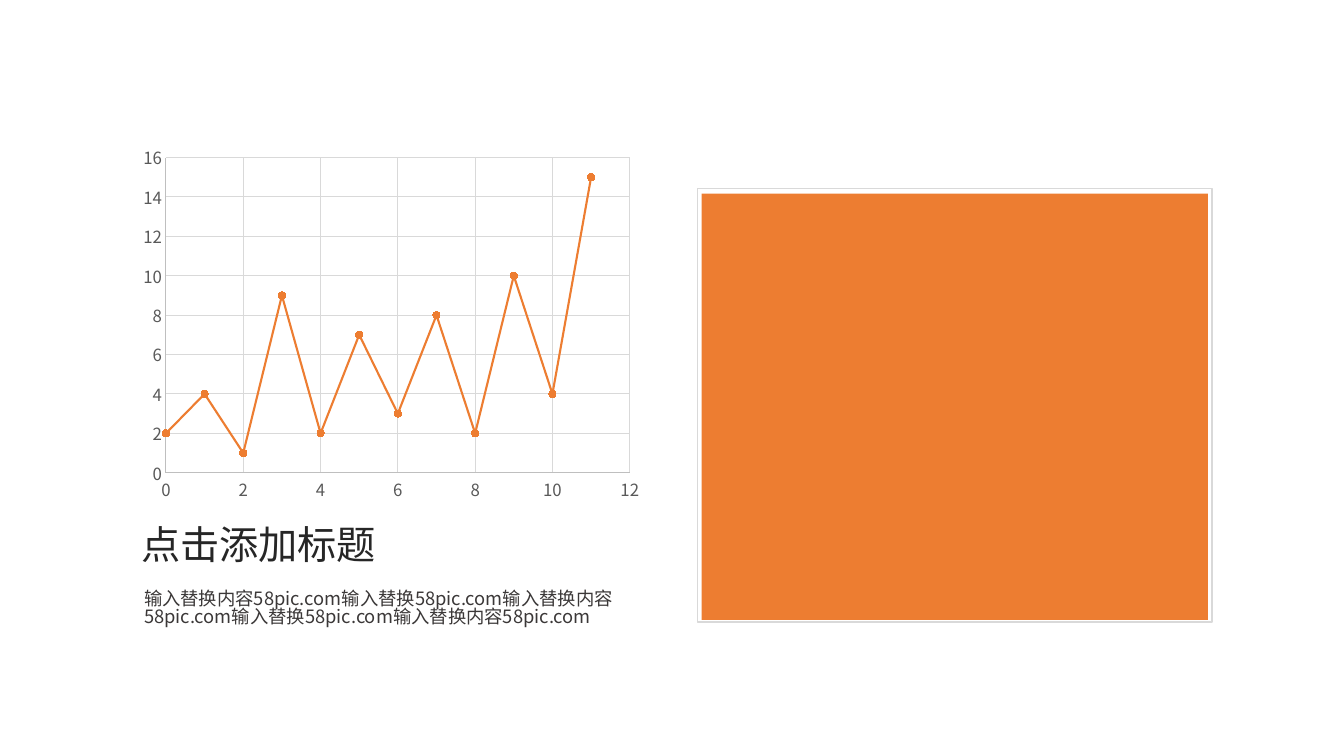
from lxml import etree
from pptx import Presentation
from pptx.chart.data import XyChartData
from pptx.dml.color import RGBColor
from pptx.enum import chart as charts, shapes, text
from pptx.oxml import parse_xml
from pptx.oxml.ns import nsdecls, qn
from pptx.util import Inches, Pt

# Content
TITLE = "点击添加标题"
BODY = "输入替换内容58pic.com输入替换58pic.com输入替换内容58pic.com输入替换58pic.com输入替换内容58pic.com"
VALUES = [2, 4, 1, 9, 2, 7, 3, 8, 2, 10, 4, 15]
FONT = "Noto Sans CJK SC"
COLORS = {"accent": "ED7D31", "title": "262626", "body": "3B3838",
          "label": "595959", "axis": "BFBFBF", "grid": "D9D9D9"}

# Positions: left, top, width, height
CHART_BOX = (1.23, 1.41, 5.27, 3.75)
TITLE_BOX = (1.3, 5.19, 5.35, 0.57)
BODY_BOX = (1.33, 5.81, 5.29, 0.54)
FRAME_BOX = (6.92, 1.87, 5.1, 4.3)
PANEL_BOX = (6.96, 1.92, 5.02, 4.23)
PLOT_AREA = {"x": 0.079, "y": 0.041, "w": 0.873, "h": 0.834}


def color(name):
    return RGBColor.from_string(COLORS[name])


def place(box):
    return [Inches(length) for length in box]


def paint_fill(fill, name):
    fill.solid()
    fill.fore_color.rgb = color(name)


def paint_line(line, name, width):
    paint_fill(line.fill, name)
    line.width = Pt(width)


def write(shape, words, size, name):
    frame = shape.text_frame
    frame.word_wrap = True
    frame.auto_size = text.MSO_AUTO_SIZE.NONE
    frame.vertical_anchor = text.MSO_ANCHOR.TOP
    para = frame.paragraphs[0]
    para.alignment = text.PP_ALIGN.LEFT
    para.line_spacing = 0.83
    span = para.add_run()
    span.text = words
    span.font.size = Pt(size)
    span.font.name = FONT
    span.font.color.rgb = color(name)
    east_asian = etree.SubElement(span.font._element, qn("a:ea"))
    east_asian.set("typeface", FONT)


def add_rectangle(page, box):
    rectangle = page.shapes.add_shape(shapes.MSO_SHAPE.RECTANGLE, *place(box))
    rectangle.shadow.inherit = False
    return rectangle


def format_axis(axis, maximum):
    axis.minimum_scale = 0
    axis.maximum_scale = maximum
    axis.major_unit = 2
    axis.major_tick_mark = charts.XL_TICK_MARK.NONE
    axis.minor_tick_mark = charts.XL_TICK_MARK.NONE
    axis.has_major_gridlines = True
    paint_line(axis.format.line, "axis", 0.75)
    paint_line(axis.major_gridlines.format.line, "grid", 0.75)
    font = axis.tick_labels.font
    font.size = Pt(12)
    font.name = FONT
    font.color.rgb = color("label")


def add_curve(page):
    points = XyChartData()
    data = points.add_series("Series 1")
    for x, y in enumerate(VALUES):
        data.add_data_point(x, y)
    chart = page.shapes.add_chart(
        charts.XL_CHART_TYPE.XY_SCATTER_SMOOTH, *place(CHART_BOX), points).chart
    chart.has_legend = False
    chart.has_title = False
    chart.font.size = Pt(10)
    chart.font.name = FONT
    chart.plots[0].vary_by_categories = False
    format_axis(chart.category_axis, 12)
    format_axis(chart.value_axis, 16)

    # Curve and markers
    curve = chart.plots[0].series[0]
    curve.smooth = True
    paint_line(curve.format.line, "accent", 1.5)
    curve.marker.style = charts.XL_MARKER_STYLE.CIRCLE
    curve.marker.size = 5
    paint_fill(curve.marker.format.fill, "accent")
    paint_line(curve.marker.format.line, "accent", 0.75)

    # Fixed inner plot area
    parts = '<c:layoutTarget val="inner"/><c:xMode val="edge"/><c:yMode val="edge"/>'
    parts += "".join(f'<c:{key} val="{part}"/>' for key, part in PLOT_AREA.items())
    layout = parse_xml(f'<c:layout {nsdecls("c")}><c:manualLayout>{parts}'
                       '</c:manualLayout></c:layout>')
    plot_area = chart._chartSpace.chart.plotArea
    for old in plot_area.findall(qn("c:layout")):
        plot_area.remove(old)
    plot_area.insert(0, layout)


def main():
    deck = Presentation()
    deck.slide_width, deck.slide_height = Inches(13.33), Inches(7.5)
    page = deck.slides.add_slide(deck.slide_layouts[5])

    # Chart
    add_curve(page)

    # Title and description
    title = page.shapes.title
    title.left, title.top, title.width, title.height = place(TITLE_BOX)
    write(title, TITLE, 28, "title")
    write(page.shapes.add_textbox(*place(BODY_BOX)), BODY, 13.1, "body")

    # Framed panel
    frame = add_rectangle(page, FRAME_BOX)
    frame.fill.background()
    paint_line(frame.line, "grid", 1)
    panel = add_rectangle(page, PANEL_BOX)
    paint_fill(panel.fill, "accent")
    panel.line.fill.background()

    deck.save("out.pptx")


if __name__ == "__main__":
    main()
